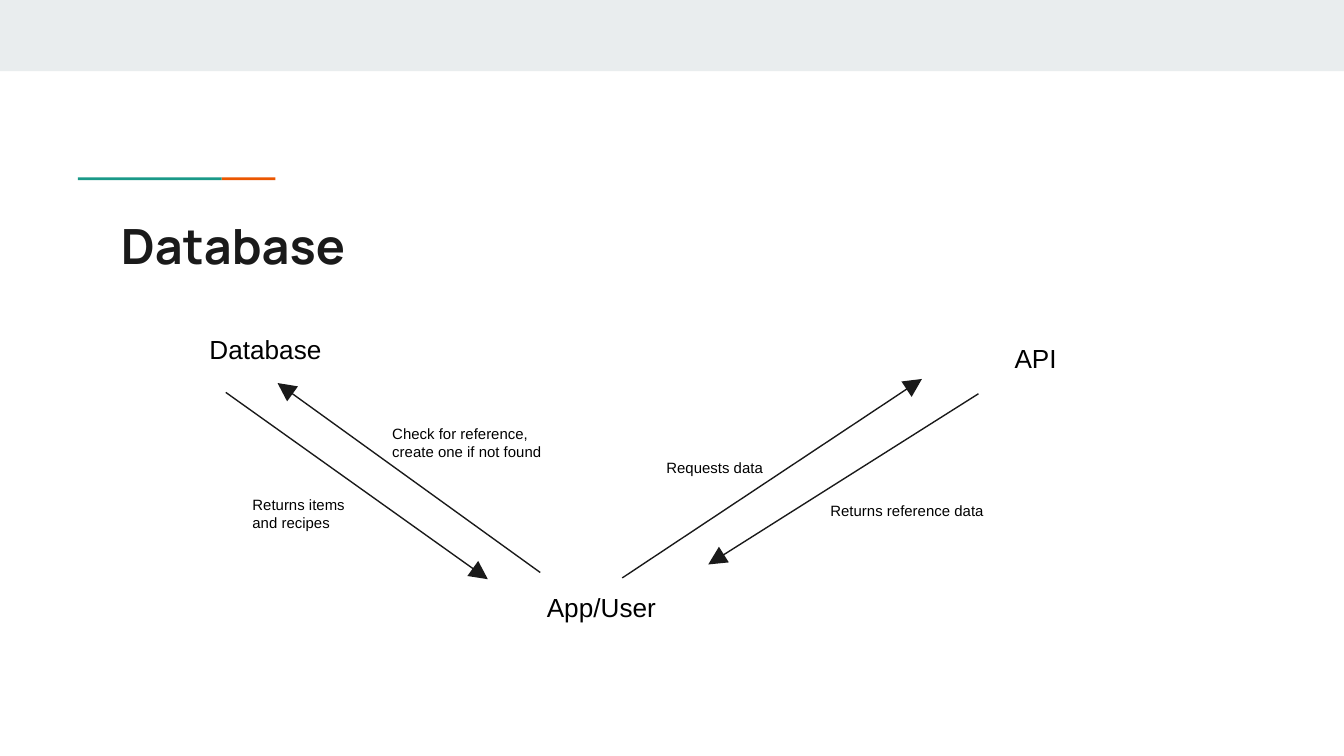
"""Builds the slide on data flow between app, database and API."""

from dataclasses import dataclass
from typing import Optional

from lxml.etree import SubElement as Sub
from pptx import Presentation
from pptx.dml.color import RGBColor as Rgb
from pptx.enum.shapes import MSO_CONNECTOR as Conn, MSO_SHAPE as Kind
from pptx.enum.text import MSO_ANCHOR as Anchor, MSO_AUTO_SIZE as Auto, PP_ALIGN as Align
from pptx.oxml.ns import qn
from pptx.util import Inches, Pt

HUES = {"band": "E9EDEE", "teal": "1A9988", "flame": "EB5600",
        "ink": "1A1A1A", "black": "000000"}


@dataclass
class Bar:
    hue: str
    box: tuple[float, float, float, float]


@dataclass
class Label:
    text: str
    box: tuple[float, float, float, float]
    size: int = 8


@dataclass
class Arrow:
    start: tuple[float, float]
    end: tuple[float, float]
    source: Optional[tuple[str, int]] = None
    target: Optional[tuple[str, int]] = None


BARS = [
    Bar("band", (0, 0, 10, 0.53)),
    Bar("flame", (1.65, 1.32, 0.4, 0.02)),
    Bar("teal", (0.58, 1.32, 1.07, 0.02)),
]
LABELS = [
    Label("Database", (1.46, 2.38, 1.21, 0.47), 14),
    Label("API", (7.45, 2.45, 1.21, 0.32), 14),
    Label("App/User", (3.97, 4.3, 1.32, 0.32), 14),
    Label("Check for reference, create one if not found", (2.82, 3.06, 1.42, 0.26)),
    Label("Returns items and recipes", (1.78, 3.59, 1.03, 0.32)),
    Label("Returns reference data", (6.08, 3.63, 1.52, 0.32)),
    Label("Requests data", (4.86, 3.31, 1.03, 0.32)),
]
ARROWS = [
    Arrow((4.02, 4.26), (2.06, 2.85), target=("Database", 2)),
    Arrow((1.68, 2.92), (3.63, 4.31)),
    Arrow((7.28, 2.93), (5.27, 4.2)),
    Arrow((4.63, 4.3), (6.86, 2.82), source=("App/User", 0)),
]


def tint(hue: str) -> Rgb:
    return Rgb.from_string(HUES[hue])


def apply(item, form: dict) -> None:
    for key, value in form.items():
        setattr(item, key, value)


def write(shape, text: str, hue: str, font: dict) -> None:
    frame = shape.text_frame
    pad = Inches(0.1)
    apply(frame, {"text": text, "word_wrap": True, "auto_size": Auto.NONE,
                  "vertical_anchor": Anchor.TOP, "margin_left": pad,
                  "margin_right": pad, "margin_top": pad, "margin_bottom": pad})
    para = frame.paragraphs[0]
    apply(para, {"alignment": Align.LEFT, "line_spacing": 1.0,
                 "space_before": Pt(0), "space_after": Pt(0)})
    face = para.runs[0].font
    apply(face, font)
    face.color.rgb = tint(hue)


def draw_bar(slide, bar: Bar) -> None:
    shape = slide.shapes.add_shape(Kind.RECTANGLE, *map(Inches, bar.box))
    shape.shadow.inherit = False
    shape.fill.solid()
    shape.fill.fore_color.rgb = tint(bar.hue)
    shape.line.fill.background()


def draw_label(slide, label: Label):
    box = slide.shapes.add_textbox(*map(Inches, label.box))
    write(box, label.text, "black", {"name": "Arial", "size": Pt(label.size)})
    return box


def draw_arrow(slide, arrow: Arrow, boxes: dict) -> None:
    ends = map(Inches, arrow.start + arrow.end)
    line = slide.shapes.add_connector(Conn.STRAIGHT, *ends)
    if arrow.source:
        name, side = arrow.source
        line.begin_connect(boxes[name], side)
    if arrow.target:
        name, side = arrow.target
        line.end_connect(boxes[name], side)
    line.line.width = Pt(0.75)
    line.line.color.rgb = tint("ink")
    props = line._element.spPr
    Sub(props.find(qn("a:ln")), qn("a:tailEnd"), type="triangle", w="lg", len="lg")
    Sub(props, qn("a:effectLst"))


def main() -> None:
    deck = Presentation()
    wide = Inches(10)
    apply(deck, {"slide_width": wide, "slide_height": wide * 9 // 16})
    slide = deck.slides.add_slide(deck.slide_layouts[5])
    for bar in BARS:
        draw_bar(slide, bar)
    title = slide.shapes.title
    apply(title, {"left": Inches(0.8), "top": Inches(1.51),
                  "width": Inches(8.41), "height": Inches(0.59)})
    write(title, "Database", "ink", {"name": "Manrope", "size": Pt(26), "bold": True})
    boxes = {label.text: draw_label(slide, label) for label in LABELS}
    for arrow in ARROWS:
        draw_arrow(slide, arrow, boxes)
    deck.save("out.pptx")


if __name__ == "__main__":
    main()
